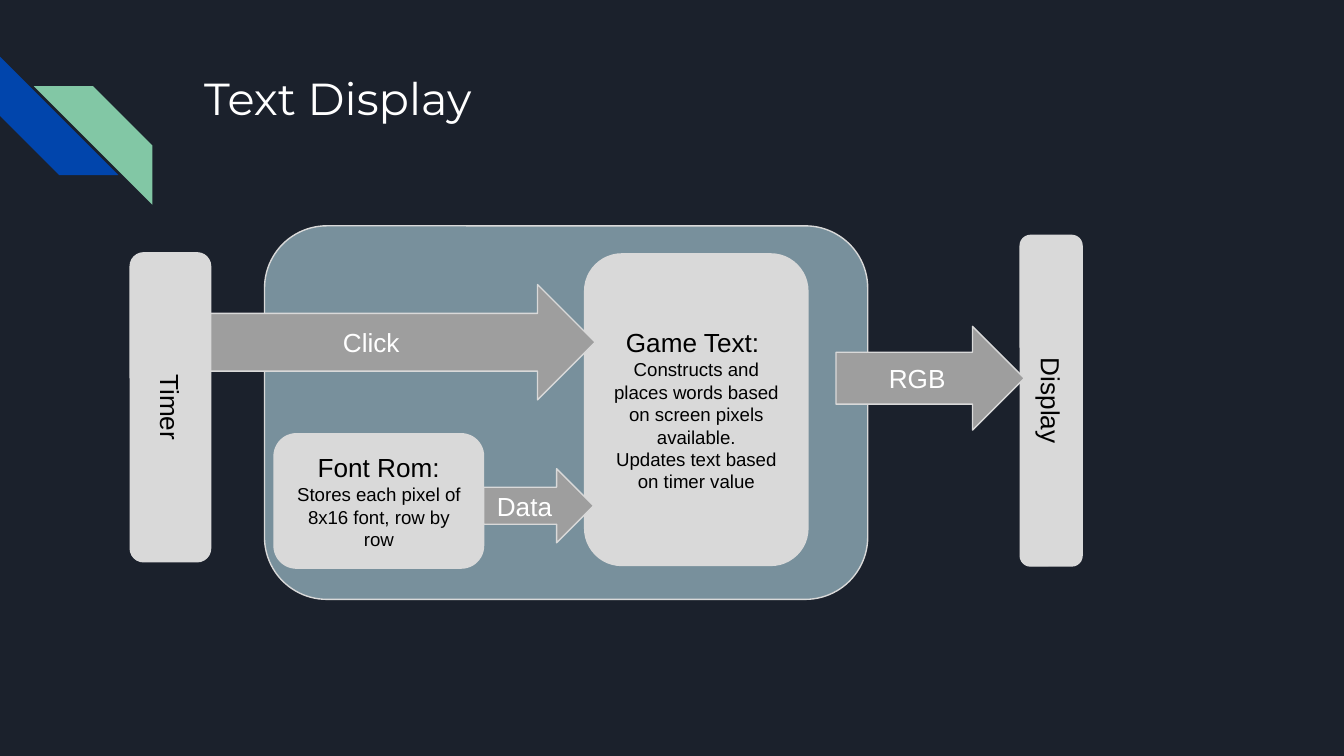
from pptx import Presentation
from pptx.dml.color import RGBColor
from pptx.enum.shapes import MSO_SHAPE
from pptx.enum.text import MSO_ANCHOR, MSO_AUTO_SIZE, PP_ALIGN
from pptx.util import Cm, Pt

ROUND_RECT = MSO_SHAPE.ROUNDED_RECTANGLE
ARROW = MSO_SHAPE.RIGHT_ARROW
STRIPE = MSO_SHAPE.DIAGONAL_STRIPE
LEFT, CENTER = PP_ALIGN.LEFT, PP_ALIGN.CENTER
TOP, MIDDLE = MSO_ANCHOR.TOP, MSO_ANCHOR.MIDDLE
NO_FIT = MSO_AUTO_SIZE.NONE

NAVY, BLUE, GREEN, SLATE = "1B212C", "0145AC", "82C7A5", "78909C"
LIGHT, GREY, WHITE, BLACK = "D9D9D9", "9E9E9E", "FFFFFF", "000000"
HEAD, BODY = 14, 10


def rgb(value):
    return RGBColor.from_string(value)


def set_frame(tf, anchor):
    tf.word_wrap = True
    tf.auto_size = NO_FIT
    tf.vertical_anchor = anchor
    tf.margin_left = tf.margin_right = tf.margin_top = tf.margin_bottom = Cm(0.25)


def style_run(r, size, font, color):
    r.font.size = Pt(size)
    r.font.name = font
    r.font.color.rgb = rgb(color)


def add_preset(slide, kind, box, fill, line=None):
    sp = slide.shapes.add_shape(kind, *(Cm(v) for v in box))
    sp.shadow.inherit = False
    sp.fill.solid()
    sp.fill.fore_color.rgb = rgb(fill)
    if line:
        sp.line.color.rgb = rgb(line)
        sp.line.width = Pt(0.75)
    else:
        sp.line.fill.background()
    return sp


def write(sp, paragraphs, color, align=CENTER):
    """Fill a shape with paragraphs, each a list of (text, size) runs."""
    tf = sp.text_frame
    set_frame(tf, MIDDLE)
    for i, runs in enumerate(paragraphs):
        p = tf.add_paragraph() if i else tf.paragraphs[0]
        p.alignment = align
        for text, size in runs:
            r = p.add_run()
            r.text = text
            style_run(r, size, "Arial", color)


def add_block(slide, box, paragraphs):
    write(add_preset(slide, ROUND_RECT, box, LIGHT, LIGHT), paragraphs, BLACK)


def add_side_bar(slide, box, label):
    """Upright bar filling the box, with its label turned a quarter clockwise."""
    left, top, width, height = box
    shift = (height - width) / 2
    sp = add_preset(slide, ROUND_RECT, (left - shift, top + shift, height, width), LIGHT, LIGHT)
    sp.rotation = 90
    write(sp, [[(label, HEAD)]], BLACK)


def add_arrow(slide, box, label, align=CENTER):
    write(add_preset(slide, ARROW, box, GREY, LIGHT), [[(label, HEAD)]], WHITE, align)


def add_emblem(slide, left, top, side):
    blue = add_preset(slide, STRIPE, (left, top, side, side), BLUE)
    blue.rotation = 270
    green = add_preset(slide, STRIPE, (left + 0.64, top + 0.56, side, side), GREEN)
    green.element.spPr.xfrm.set("flipH", "1")


def add_title(slide, box, text):
    title = slide.shapes.title
    title.left, title.top, title.width, title.height = (Cm(v) for v in box)
    tf = title.text_frame
    tf.text = text
    set_frame(tf, TOP)
    p = tf.paragraphs[0]
    p.alignment = LEFT
    style_run(p.runs[0], 24, "Montserrat", WHITE)


def add_text_diagram(slide, left, top):
    def at(x, y, width, height):
        return left + x, top + y, width, height

    add_preset(slide, ROUND_RECT, at(2.54, 0, 11.4, 7.06), SLATE, LIGHT)
    add_side_bar(slide, at(16.82, 0.18, 1.17, 6.25), "Display")
    add_block(slide, at(8.59, 0.53, 4.22, 5.89), [
        [("Game Text: ", HEAD)],
        [("Constructs and places words based on screen pixels available.", BODY)],
        [("Updates text based on timer value", BODY)],
    ])
    add_arrow(slide, at(13.34, 1.9, 3.56, 1.96), "RGB")
    add_block(slide, at(2.72, 3.93, 3.96, 2.54), [
        [("Font Rom:", HEAD), (" Stores each pixel of 8x16 font, row by row", BODY)],
    ])
    add_arrow(slide, at(6.68, 4.59, 2.08, 1.4), "Data", LEFT)
    add_arrow(slide, at(0.87, 1.11, 7.92, 2.18), "Click")
    add_side_bar(slide, at(0, 0.51, 1.52, 5.84), "Timer")


def main():
    prs = Presentation()
    prs.slide_width, prs.slide_height = Cm(25.4), Cm(14.29)
    slide = prs.slides.add_slide(prs.slide_layouts[5])
    slide.background.fill.solid()
    slide.background.fill.fore_color.rgb = rgb(NAVY)
    add_emblem(slide, 0, 1.07, 2.24)
    add_title(slide, (3.61, 1.09, 19.56, 2.54), "Text Display")
    add_text_diagram(slide, 2.46, 4.27)
    prs.save("out.pptx")


if __name__ == "__main__":
    main()
